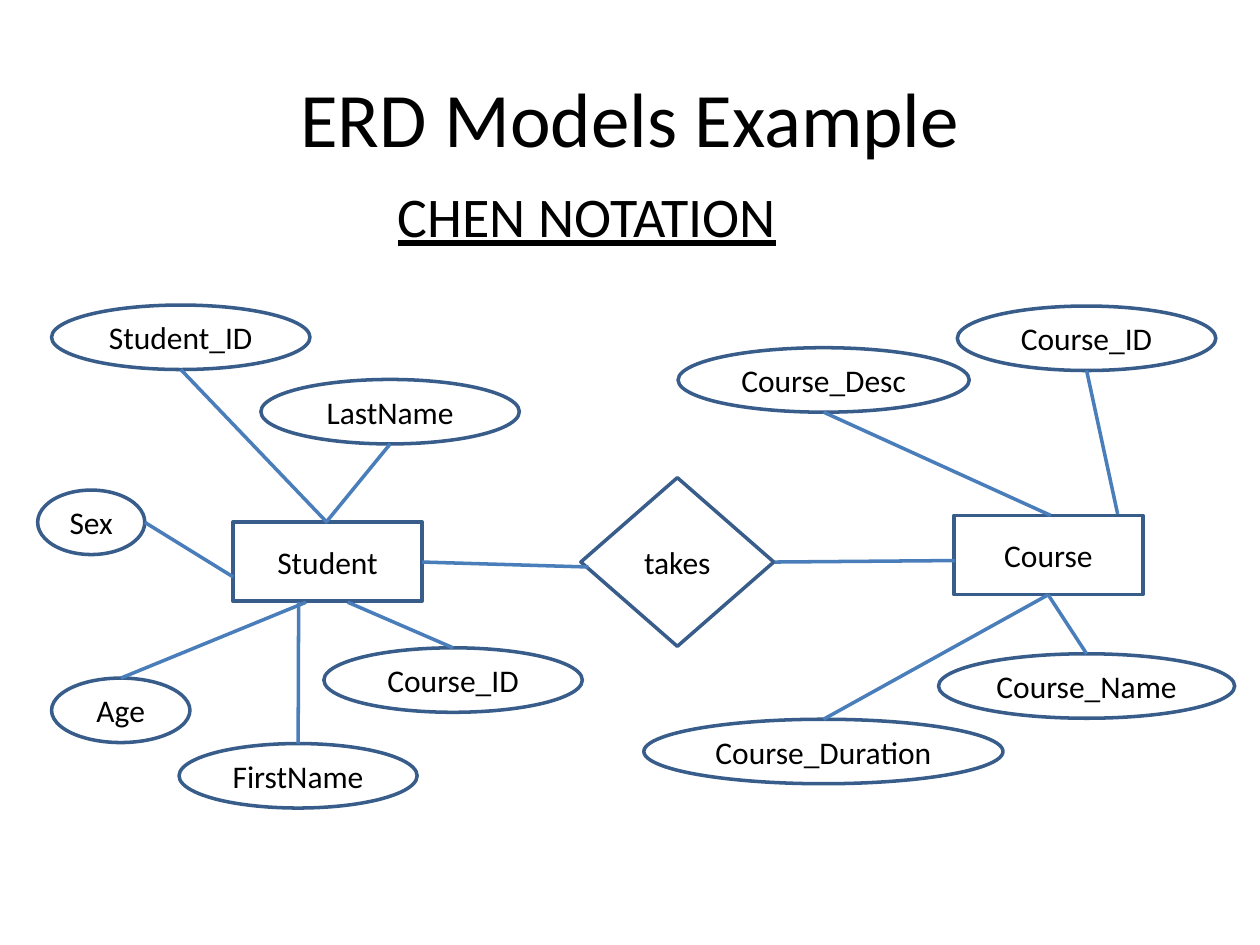
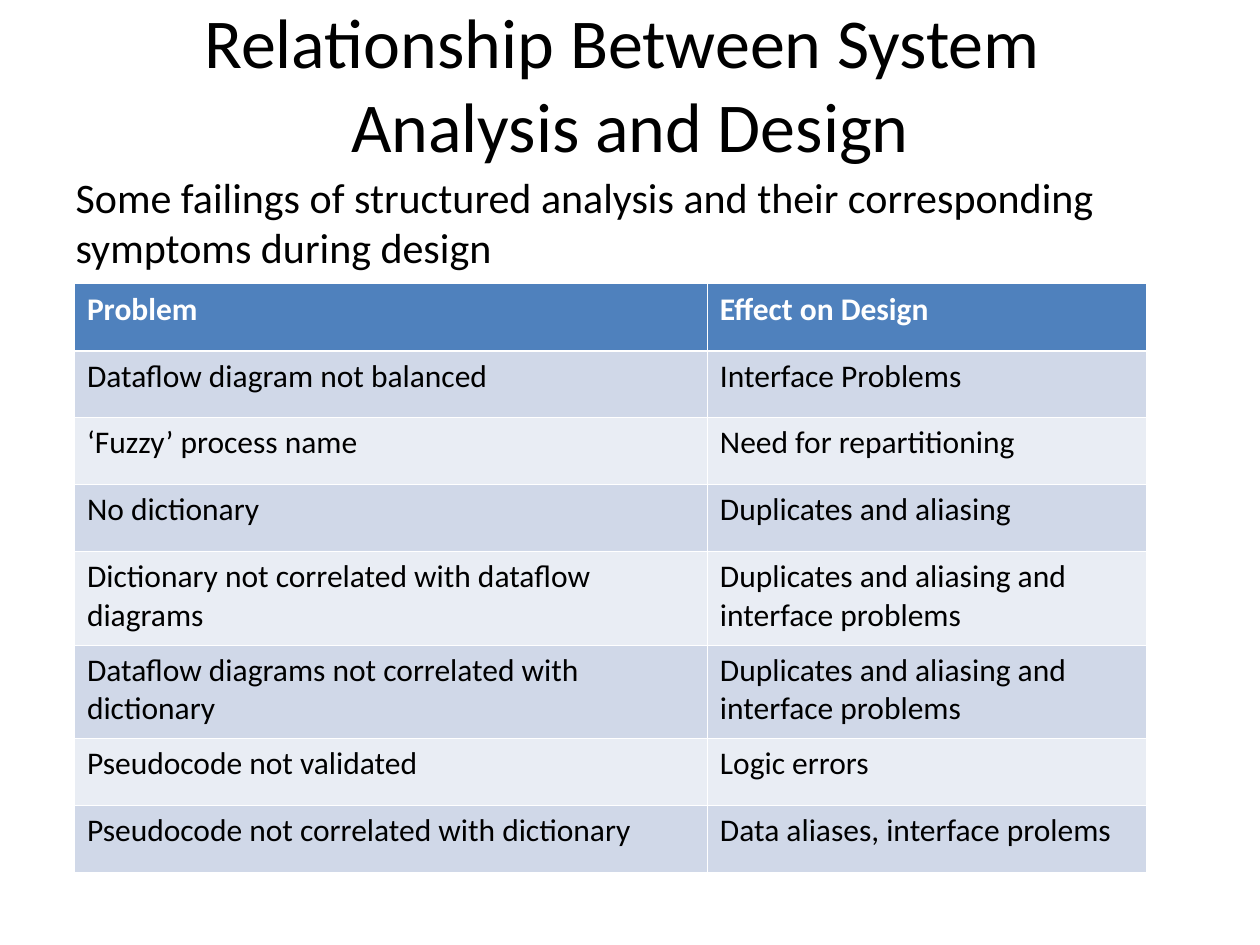
from lxml.etree import SubElement
from pptx import Presentation
from pptx.dml.color import RGBColor
from pptx.enum.shapes import MSO_CONNECTOR, MSO_SHAPE
from pptx.enum.text import MSO_ANCHOR, MSO_AUTO_SIZE, PP_ALIGN
from pptx.oxml.ns import qn
from pptx.util import Cm, Pt

BLACK = RGBColor(0x00, 0x00, 0x00)
WHITE = RGBColor(0xFF, 0xFF, 0xFF)
OUTLINE = RGBColor(0x38, 0x5D, 0x8A)
LINK = RGBColor(0x4A, 0x7E, 0xBB)
HEADER = RGBColor(0x4F, 0x81, 0xBD)
DARK_BAND = RGBColor(0xD0, 0xD8, 0xE8)
LIGHT_BAND = RGBColor(0xE9, 0xED, 0xF4)

FONT = "Calibri"
LINE_WIDTH = Pt(2)
OVAL_HEIGHT = 1.3
THIN, THICK = Pt(0.45), Pt(1.47)

NODES = [
    ("Student", MSO_SHAPE.RECTANGLE, (4.7, 10.52, 3.81, 1.6)),
    ("takes", MSO_SHAPE.DIAMOND, (11.71, 9.63, 3.89, 3.4)),
    ("Course", MSO_SHAPE.RECTANGLE, (19.23, 10.39, 3.81, 1.6)),
]

# Each attribute: name, left, top, width, linked side, end of its link
ATTRIBUTES = [
    ("Student_ID", 1.04, 6.15, 5.21, "bottom", (6.6, 10.54)),
    ("LastName", 5.26, 7.65, 5.21, "bottom", (6.58, 10.52)),
    ("Sex", 0.76, 9.88, 2.16, "right", (4.7, 11.63)),
    ("Age", 1.04, 13.67, 2.79, "top", (6.17, 12.14)),
    ("FirstName", 3.61, 14.99, 4.8, "top", (6.02, 12.14)),
    ("Course_ID", 6.53, 13.06, 5.21, "top", (7.01, 12.14)),
    ("Course_ID", 19.3, 6.17, 5.21, "bottom", (22.53, 10.36)),
    ("Course_Desc", 13.67, 7.01, 5.87, "bottom", (21.18, 10.39)),
    ("Course_Name", 18.92, 13.18, 5.97, "top", (21.13, 11.99)),
    ("Course_Duration", 12.98, 14.5, 7.24, "top", (21.13, 11.99)),
]

RELATIONSHIP_LINKS = [
    ((8.51, 11.33), (11.86, 11.43)),
    ((15.62, 11.33), (19.25, 11.3)),
]

FAILINGS = [
    ("Problem", "Effect on Design"),
    ("Dataflow diagram not balanced", "Interface Problems"),
    ("‘Fuzzy’ process name", "Need for repartitioning"),
    ("No dictionary", "Duplicates and aliasing"),
    ("Dictionary not correlated with dataflow diagrams",
     "Duplicates and aliasing and interface problems"),
    ("Dataflow diagrams not correlated with dictionary",
     "Duplicates and aliasing and interface problems"),
    ("Pseudocode not validated", "Logic errors"),
    ("Pseudocode not correlated with dictionary",
     "Data aliases, interface prolems"),
]
COLUMN_WIDTHS = (12.76, 8.84)
ROW_HEIGHT, TALL_ROW_HEIGHT = 1.35, 1.88
TALL_ROWS = (4, 5)


def write(frame, text, size=18, color=BLACK, bold=False, underline=False,
          align=PP_ALIGN.LEFT, before=None):
    """Write one formatted paragraph into a text frame and return it."""
    para = frame.paragraphs[0]
    para.text = text
    para.alignment = align
    if before is not None:
        para.space_before = Pt(before)
    for span in para.runs:
        span.font.name = FONT
        span.font.size = Pt(size)
        span.font.color.rgb = color
        span.font.bold = bold
        span.font.underline = underline
    for line_break in para._p.findall(qn("a:br")):
        SubElement(line_break, qn("a:rPr"), sz=str(size * 100))
    return para


def place(shape, left, top, width, height):
    """Move and size a shape, in centimetres."""
    shape.left, shape.top = Cm(left), Cm(top)
    shape.width, shape.height = Cm(width), Cm(height)


def add_page(deck, layout, title, top, height, size):
    """Add a slide with a centred title."""
    page = deck.slides.add_slide(deck.slide_layouts.get_by_name(layout))
    box = page.shapes.title
    place(box, 1.27, top, 22.86, height)
    frame = box.text_frame
    frame.auto_size = MSO_AUTO_SIZE.NONE
    frame.vertical_anchor = MSO_ANCHOR.MIDDLE
    write(frame, title, size=size, align=PP_ALIGN.CENTER)
    return page


def add_node(page, kind, text, left, top, width, height):
    """Add an outlined shape with a centred label."""
    node = page.shapes.add_shape(kind, Cm(left), Cm(top), Cm(width), Cm(height))
    node.shadow.inherit = False
    node.fill.background()
    node.line.color.rgb = OUTLINE
    node.line.width = LINE_WIDTH
    node.text_frame.vertical_anchor = MSO_ANCHOR.MIDDLE
    write(node.text_frame, text, align=PP_ALIGN.CENTER)


def add_link(page, start, end):
    """Join two points with a straight line."""
    link = page.shapes.add_connector(
        MSO_CONNECTOR.STRAIGHT, *(Cm(value) for value in (*start, *end)))
    link.line.color.rgb = LINK
    link.line.width = LINE_WIDTH
    SubElement(link._element.spPr, qn("a:effectLst"))


def add_attribute(page, name, left, top, width, side, end):
    """Add an attribute oval and the link from one of its sides."""
    add_node(page, MSO_SHAPE.OVAL, name, left, top, width, OVAL_HEIGHT)
    sides = {
        "top": (left + width / 2, top),
        "bottom": (left + width / 2, top + OVAL_HEIGHT),
        "right": (left + width, top + OVAL_HEIGHT / 2),
    }
    add_link(page, sides[side], end)


def set_borders(cell, top, bottom):
    """Draw white borders round a table cell."""
    properties = cell._tc.get_or_add_tcPr()
    for tag, width in (("lnL", THIN), ("lnR", THIN), ("lnT", top), ("lnB", bottom)):
        border = SubElement(properties, qn(f"a:{tag}"), w=str(width))
        fill = SubElement(border, qn("a:solidFill"))
        SubElement(fill, qn("a:srgbClr"), val=str(WHITE))


def add_banded_table(page, rows, left, top):
    """Add a table with a header row and alternating bands."""
    heights = [TALL_ROW_HEIGHT if index in TALL_ROWS else ROW_HEIGHT
               for index in range(len(rows))]
    table = page.shapes.add_table(
        len(rows), len(COLUMN_WIDTHS), Cm(left), Cm(top),
        Cm(sum(COLUMN_WIDTHS)), Cm(sum(heights))).table
    for column, width in zip(table.columns, COLUMN_WIDTHS):
        column.width = Cm(width)
    for index, texts in enumerate(rows):
        table.rows[index].height = Cm(heights[index])
        is_header = index == 0
        band = HEADER if is_header else DARK_BAND if index % 2 else LIGHT_BAND
        for cell, text in zip(table.rows[index].cells, texts):
            set_borders(cell, THICK if index == 1 else THIN,
                        THICK if is_header else THIN)
            cell.fill.solid()
            cell.fill.fore_color.rgb = band
            write(cell.text_frame, text, bold=is_header,
                  color=WHITE if is_header else BLACK)


def add_diagram_page(deck):
    """Build the entity relationship diagram."""
    page = add_page(deck, "Title Only", "ERD Models Example", 0.76, 3.18, 44)
    for text, kind, bounds in NODES:
        add_node(page, kind, text, *bounds)
    for attribute in ATTRIBUTES:
        add_attribute(page, *attribute)
    for start, end in RELATIONSHIP_LINKS:
        add_link(page, start, end)
    box = page.shapes.add_textbox(Cm(7.77), Cm(3.53), Cm(8.2), Cm(2.97))
    box.text_frame.word_wrap = True
    write(box.text_frame, "CHEN NOTATION", size=32, underline=True)


def add_failings_page(deck):
    """Build the table of analysis failings and design symptoms."""
    page = add_page(deck, "Title and Content",
                    "Relationship Between System \nAnalysis and Design", 0, 3.33, 40)
    body = page.placeholders[1]
    place(body, 1.27, 3.33, 22.86, 14.6)
    body.text_frame.auto_size = MSO_AUTO_SIZE.NONE
    para = write(body.text_frame,
                 "Some failings of structured analysis and their corresponding "
                 "symptoms during design", size=24, before=6)
    properties = para._p.get_or_add_pPr()
    properties.set("marL", "0")
    properties.set("indent", "0")
    SubElement(properties, qn("a:buNone"))
    add_banded_table(page, FAILINGS, 1.5, 5.72)


def main():
    """Build and save the deck."""
    deck = Presentation()
    deck.slide_width, deck.slide_height = Cm(25.4), Cm(19.05)
    add_diagram_page(deck)
    add_failings_page(deck)
    deck.save("out.pptx")


if __name__ == "__main__":
    main()
